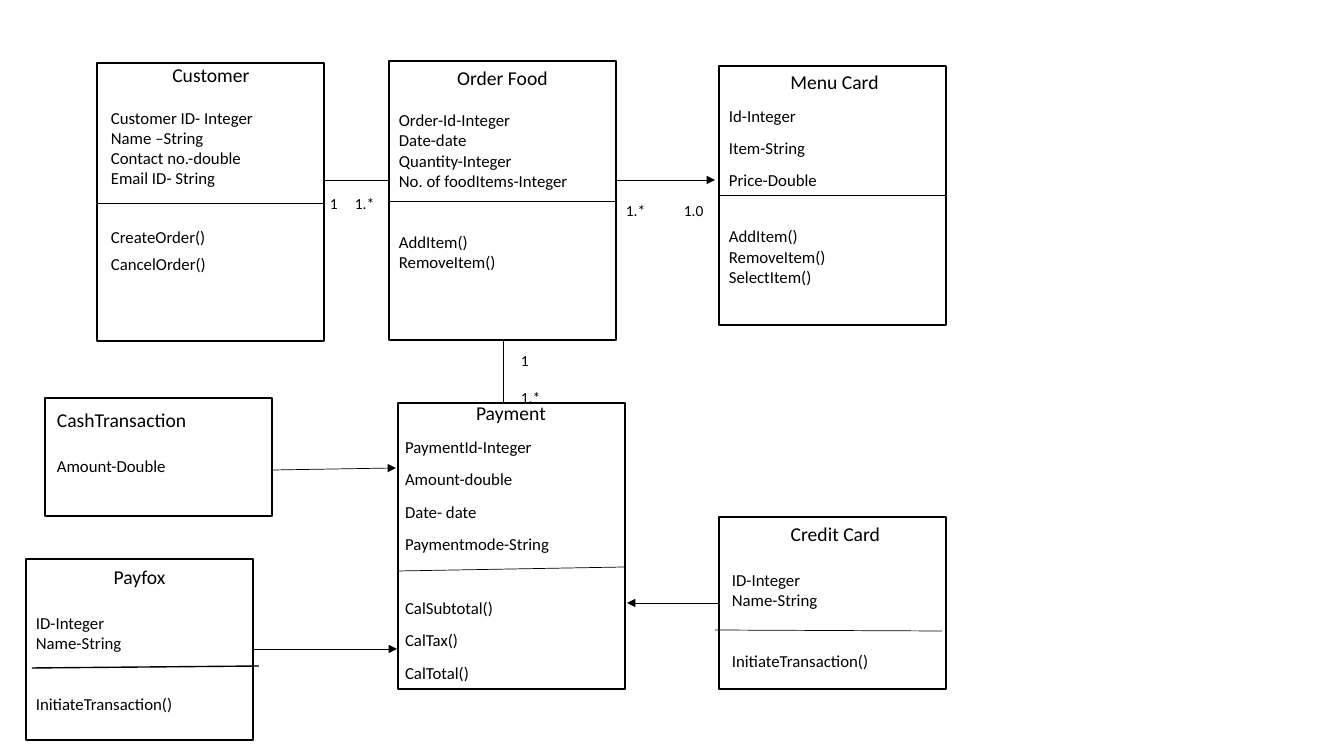
import dataclasses

import lxml.etree
import pptx
import pptx.dml.color
import pptx.enum.shapes
import pptx.enum.text
import pptx.oxml.ns
import pptx.util

SCALE = 914400 / 100.8
FONT = "Calibri"
INK = "000000"
BOX_WIDTH = 227
CENTER = pptx.enum.text.PP_ALIGN.CENTER
LEFT = pptx.enum.text.PP_ALIGN.LEFT


@dataclasses.dataclass
class UmlClass:
    """A class box; text and divider are placed relative to left and top."""
    name: str
    left: int
    top: int
    height: int
    text_area: tuple            # dx, dy, width, height
    attributes: list
    attribute_gap: float        # points above the first attribute
    methods: list = dataclasses.field(default_factory=list)
    method_gap: float = 29.3    # points above the first method
    attribute_step: float = 0
    method_step: float = 0
    spacing: tuple = (1, 1, 1)  # line spacing of name, attributes, methods
    divider: tuple = ()         # dx, dy at left, dy at right, points
    align: object = CENTER
    in_placeholder: bool = False


CLASSES = [
    UmlClass("Payment", 398, 403, 286, (-3, -4, 232, 303),
             ["PaymentId-Integer", "Amount-double", "Date- date", "Paymentmode-String"], 10,
             ["CalSubtotal()", "CalTax()", "CalTotal()"], 33.2,
             attribute_step=10, method_step=10, spacing=(0.9, 0.9, 0.9),
             divider=(0, 168, 164, 0.5), in_placeholder=True),
    UmlClass("Customer", 97, 63, 278, (4, -2, 220, 284),
             ["Customer ID- Integer", "Name –String", "Contact no.-double", "Email ID- String"],
             14.65, ["CreateOrder()", "CancelOrder()"], method_step=6,
             spacing=(0.9, 1, 0.9), divider=(0, 140, 140, 0.5)),
    UmlClass("Order Food", 389, 61, 279, (0, 0, 227, 217),
             ["Order-Id-Integer", "Date-date", "Quantity-Integer", "No. of foodItems-Integer"],
             14.65, ["AddItem()", "RemoveItem()"], divider=(0, 140, 140, 0.5)),
    UmlClass("Menu Card", 719, 66, 259, (0, 2, 231, 258),
             ["Id-Integer", "Item-String", "Price-Double"], 10,
             ["AddItem()", "RemoveItem()", "SelectItem()"], 25.4,
             attribute_step=10, spacing=(0.9, 0.9, 1), divider=(0, 129, 129, 0.5)),
    UmlClass("CashTransaction", 45, 398, 118, (2, 5, 230, 78),
             ["Amount-Double"], 17.1, align=LEFT),
    UmlClass("Payfox", 26, 559, 181, (0, 1, 227, 159),
             ["ID-Integer", "Name-String"], 17.1, ["InitiateTransaction()"],
             divider=(6, 109, 107, 1)),
    UmlClass("Credit Card", 719, 517, 172, (3, 0, 227, 179),
             ["ID-Integer", "Name-String"], 17.1, ["InitiateTransaction()"],
             divider=(-4, 113, 114, 0.5)),
]

# start x, start y, end x, end y, has arrowhead
RELATIONS = [
    (324, 180, 389, 180, False),
    (616, 180, 715, 180, True),
    (503, 340, 503, 403, False),
    (273, 470, 396, 468, True),
    (253, 649, 397, 649, True),
    (719, 603, 627, 603, True),
]

MULTIPLICITIES = [("1", 320, 189), ("1.*", 345, 189), ("1.*", 616, 196),
                  ("1.0", 674, 196), ("1", 511, 346), ("1.*", 511, 383)]


def px(value):
    """Turn pixels into EMU."""
    return pptx.util.Emu(round(value * SCALE))


def color(value):
    """Turn a hex string into a colour."""
    return pptx.dml.color.RGBColor.from_string(value)


def format_para(para, size, align=LEFT, before=0, spacing=1):
    """Format one paragraph and its runs."""
    para.alignment = align
    para.space_before = pptx.util.Pt(before)
    para.space_after = pptx.util.Pt(0)
    para.line_spacing = spacing
    for span in para.runs:
        span.font.name = FONT
        span.font.size = pptx.util.Pt(size)
        span.font.color.rgb = color(INK)


def add_line(page, start_x, start_y, end_x, end_y, arrow=False, width=0.5):
    """Draw a straight line, with an arrowhead at its end if wanted."""
    line = page.shapes.add_connector(pptx.enum.shapes.MSO_CONNECTOR.STRAIGHT,
                                     px(start_x), px(start_y), px(end_x), px(end_y))
    line.line.color.rgb = color(INK)
    line.line.width = pptx.util.Pt(width)
    if arrow:
        outline = line.line._get_or_add_ln()
        lxml.etree.SubElement(outline, pptx.oxml.ns.qn("a:tailEnd"), type="triangle")
    lxml.etree.SubElement(line._element.spPr, pptx.oxml.ns.qn("a:effectLst"))


def add_class_text(page, item):
    """Write the name, attributes and methods of a class."""
    dx, dy, width, height = item.text_area
    area = [px(value) for value in (item.left + dx, item.top + dy, width, height)]
    if item.in_placeholder:
        box = page.placeholders[1]
        box.left, box.top, box.width, box.height = area
    else:
        box = page.shapes.add_textbox(*area)
    frame = box.text_frame
    frame.word_wrap = True
    frame.auto_size = pptx.enum.text.MSO_AUTO_SIZE.NONE
    frame.vertical_anchor = pptx.enum.text.MSO_ANCHOR.TOP
    frame.text = item.name
    format_para(frame.paragraphs[0], 14, item.align, spacing=item.spacing[0])
    sections = [
        (item.attributes, item.attribute_gap, item.attribute_step, item.spacing[1]),
        (item.methods, item.method_gap, item.method_step, item.spacing[2]),
    ]
    for members, gap, step, spacing in sections:
        for index, member in enumerate(members):
            para = frame.add_paragraph()
            para.text = member
            format_para(para, 12, before=step if index else gap, spacing=spacing)


def add_class(page, item):
    """Draw a class: text, outline and divider."""
    add_class_text(page, item)
    outline = page.shapes.add_shape(pptx.enum.shapes.MSO_SHAPE.RECTANGLE, px(item.left),
                                    px(item.top), px(BOX_WIDTH), px(item.height))
    outline.shadow.inherit = False
    outline.fill.background()
    outline.line.color.rgb = color(INK)
    outline.line.width = pptx.util.Pt(1)
    if item.divider:
        dx, left_dy, right_dy, width = item.divider
        start = item.left + dx
        add_line(page, start, item.top + left_dy, start + BOX_WIDTH, item.top + right_dy,
                 width=width)


def add_multiplicity(page, text, left, top):
    """Write a multiplicity beside a relation."""
    box = page.shapes.add_textbox(px(left), px(top), px(45), px(29))
    box.text_frame.word_wrap = True
    box.text_frame.text = text
    format_para(box.text_frame.paragraphs[0], 11)


def build_class_diagram(deck):
    """Add the class diagram slide."""
    page = deck.slides.add_slide(deck.slide_layouts[0])
    title = page.shapes.title._element
    title.getparent().remove(title)
    for item in CLASSES:
        add_class(page, item)
    for relation in RELATIONS:
        add_line(page, *relation)
    for label in MULTIPLICITIES:
        add_multiplicity(page, *label)


deck = pptx.Presentation()
deck.slide_width = px(1344)
deck.slide_height = px(756)
build_class_diagram(deck)
deck.save("out.pptx")
